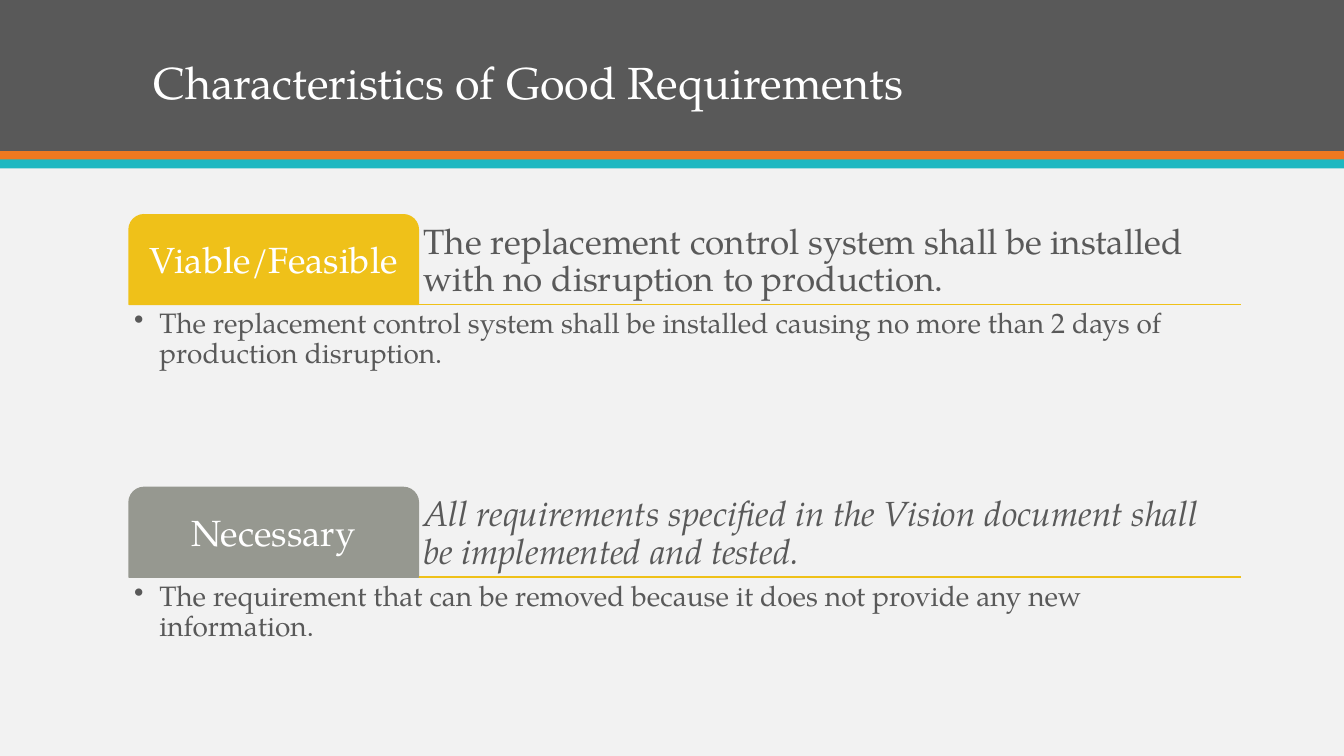
"""Build the slide on characteristics of good requirements."""
import pptx
import pptx.util
import pptx.dml.color
import pptx.enum.shapes
import pptx.enum.text
import lxml.etree
from pptx.oxml.ns import qn

Inches = pptx.util.Inches
Align = pptx.enum.text.PP_ALIGN
Anchor = pptx.enum.text.MSO_ANCHOR
Shape = pptx.enum.shapes.MSO_SHAPE

FONT = "TeX Gyre Pagella"
DARK, WHITE, PALE, GOLD, GRAY = "595959", "FFFFFF", "F2F2F2", "EFC119", "969890"
WIDTH, HEIGHT = 13.33, 7.5
TITLE = "Characteristics of Good Requirements"
BANDS = [(0, 1.5, DARK), (1.5, 0.09, "EF7920"), (1.58, 0.09, "1EB8C1")]
SECTIONS = [
    {
        "label": "Viable/Feasible", "fill": GOLD, "italic": False,
        "statement": "The replacement control system shall be installed with no disruption to production.",
        "bullet": "The replacement control system shall be installed causing no more than 2 days of production disruption.",
    },
    {
        "label": "Necessary", "fill": GRAY, "italic": True,
        "statement": "All requirements specified in the Vision document shall be implemented and tested.",
        "bullet": "The requirement that can be removed because it does not provide any new information.",
    },
]
LEFT, TOP, PITCH = 1.28, 2.13, 2.705
TAB_WIDTH, TAB_HEIGHT = 2.87, 0.89
ROW_WIDTH, BULLET_HEIGHT = 11.03, 1.78
INSET = 0.05


def color(value):
    return pptx.dml.color.RGBColor.from_string(value)


def add_block(page, kind, area, fill, outlined=False):
    block = page.shapes.add_shape(kind, *map(Inches, area))
    block.shadow.inherit = False
    block.fill.solid()
    block.fill.fore_color.rgb = color(fill)
    if outlined:
        block.line.color.rgb = color(fill)
        block.line.width = pptx.util.Pt(1)
    else:
        block.line.fill.background()
    return block


def write(frame, text, size, tint, anchor, align=Align.LEFT, italic=False, bullet=False):
    frame.text = text
    frame.word_wrap = True
    frame.auto_size = pptx.enum.text.MSO_AUTO_SIZE.NONE
    frame.vertical_anchor = anchor
    para = frame.paragraphs[0]
    para.alignment = align
    para.line_spacing = 0.9
    if bullet:
        properties = para._p.get_or_add_pPr()
        properties.set("marL", str(Inches(0.25)))
        properties.set("indent", str(Inches(-0.25)))
        lxml.etree.SubElement(properties, qn("a:buChar")).set("char", "•")
    font = para.runs[0].font
    font.name = FONT
    font.size = pptx.util.Pt(size)
    font.italic = italic
    font.color.rgb = color(tint)


def add_text(page, area, *args, **options):
    frame = page.shapes.add_textbox(*map(Inches, area)).text_frame
    frame.margin_left = frame.margin_right = Inches(INSET)
    frame.margin_top = frame.margin_bottom = Inches(INSET)
    write(frame, *args, **options)


def add_rule(page, y):
    rule = page.shapes.add_connector(
        pptx.enum.shapes.MSO_CONNECTOR.STRAIGHT,
        Inches(LEFT), Inches(y), Inches(LEFT + ROW_WIDTH), Inches(y))
    rule.line.color.rgb = color(GOLD)
    rule.line.width = pptx.util.Pt(1)
    lxml.etree.SubElement(rule._element.spPr, qn("a:effectLst"))


def add_section(page, top, section):
    bottom = top + TAB_HEIGHT
    add_rule(page, bottom)
    add_text(page, (LEFT + TAB_WIDTH, top, ROW_WIDTH - TAB_WIDTH, TAB_HEIGHT),
             section["statement"], 25, DARK, Anchor.BOTTOM, italic=section["italic"])
    tab = add_block(page, Shape.ROUND_2_SAME_RECTANGLE,
                    (LEFT, top, TAB_WIDTH, TAB_HEIGHT), section["fill"], outlined=True)
    tab.adjustments[0] = 0.167
    tab.adjustments[1] = 0
    add_text(page, (LEFT + INSET, top + 0.04, TAB_WIDTH - 2 * INSET, TAB_HEIGHT - 0.04),
             section["label"], 26, WHITE, Anchor.MIDDLE, align=Align.CENTER)
    add_text(page, (LEFT, bottom, ROW_WIDTH, BULLET_HEIGHT),
             section["bullet"], 20, DARK, Anchor.TOP, bullet=True)


def main():
    deck = pptx.Presentation()
    deck.slide_width, deck.slide_height = Inches(WIDTH), Inches(HEIGHT)
    page = deck.slides.add_slide(deck.slide_layouts[5])
    page.background.fill.solid()
    page.background.fill.fore_color.rgb = color(PALE)
    for top, height, fill in BANDS:
        add_block(page, Shape.RECTANGLE, (0, top, WIDTH, height), fill)
    title = page.shapes.title
    title.left, title.top, title.width, title.height = map(Inches, (1.42, 0, 10.5, 1.13))
    write(title.text_frame, TITLE, 32, WHITE, Anchor.BOTTOM)
    page.shapes._spTree.append(title._element)
    for index, section in enumerate(SECTIONS):
        add_section(page, TOP + index * PITCH, section)
    deck.save("out.pptx")


if __name__ == "__main__":
    main()
